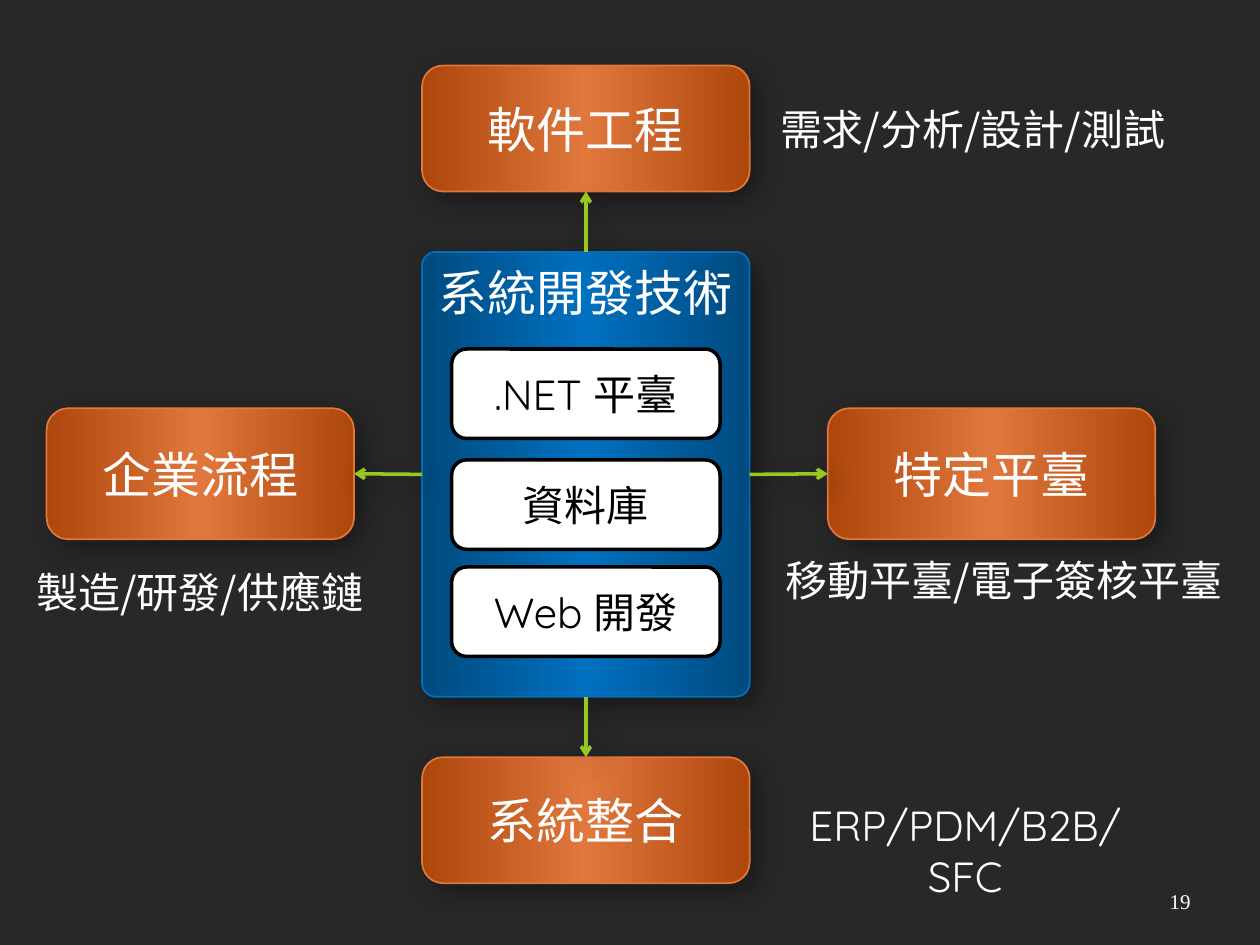
from lxml import etree
from pptx import Presentation
from pptx.dml.color import RGBColor
from pptx.enum.shapes import MSO_CONNECTOR, MSO_SHAPE
from pptx.enum.text import MSO_ANCHOR, PP_ALIGN
from pptx.oxml.ns import qn
from pptx.util import Inches, Pt

ROUNDED = MSO_SHAPE.ROUNDED_RECTANGLE
STRAIGHT = MSO_CONNECTOR.STRAIGHT
TOP, MIDDLE = MSO_ANCHOR.TOP, MSO_ANCHOR.MIDDLE
LEFT, CENTER, RIGHT = PP_ALIGN.LEFT, PP_ALIGN.CENTER, PP_ALIGN.RIGHT

BACKGROUND = RGBColor(0x28, 0x28, 0x28)
WHITE = RGBColor(0xFF, 0xFF, 0xFF)
BLACK = RGBColor(0x00, 0x00, 0x00)
BLUE = RGBColor(0x00, 0x70, 0xC0)
DARK_BLUE = RGBColor(0x00, 0x4A, 0x7E)
ORANGE = RGBColor(0xE0, 0x77, 0x3C)
DARK_ORANGE = RGBColor(0xAE, 0x47, 0x0C)
GREEN = RGBColor(0x98, 0xC7, 0x23)

CJK = "Noto Sans CJK SC"
LATIN = "Quicksand"
SERIF = "Times New Roman"

HUB_BOX = (3.35, 2, 2.6, 3.53)
PILL_TOPS = {".NET 平臺": 2.77, "資料庫": 3.65, "Web 開發": 4.5}
NODES = [
    ("企業流程", (0.37, 3.24, 2.44, 1.04), 1, 3),
    ("系統整合", (3.35, 6.01, 2.6, 1), 2, 0),
    ("軟件工程", (3.35, 0.52, 2.6, 1), 0, 2),
    ("特定平臺", (6.57, 3.24, 2.6, 1.04), 3, 1),
]
LABELS = [
    ("移動平臺/電子簽核平臺", (6.1, 4.35, 3.74, 0.5), CJK),
    ("需求/分析/設計/測試", (6.02, 0.77, 3.4, 0.5), CJK),
    ("ERP/PDM/B2B/SFC", (6.06, 6.3, 3.2, 0.5), LATIN),
    ("製造/研發/供應鏈", (0.14, 4.45, 2.89, 0.5), CJK),
]


def inches(box):
    """Convert a box of numbers to lengths."""
    return [Inches(value) for value in box]


def write(sp, text, size, font, color, align=CENTER, anchor=MIDDLE):
    """Put one formatted run into a shape."""
    tf = sp.text_frame
    tf.word_wrap = True
    tf.vertical_anchor = anchor
    p = tf.paragraphs[0]
    p.alignment = align
    r = p.add_run()
    r.text = text
    r.font.size = Pt(size)
    r.font.name = font
    r.font.color.rgb = color
    etree.SubElement(r.font._element, qn("a:ea"), typeface=CJK)


def add_shadow(spPr):
    """Give shape properties a soft diagonal shadow."""
    effects = spPr.find(qn("a:effectLst"))
    if effects is None:
        effects = etree.SubElement(spPr, qn("a:effectLst"))
    shadow = etree.SubElement(
        effects, qn("a:outerShdw"), blurRad=str(Pt(15)), dist=str(Pt(6.2)),
        dir="2700000", algn="tl", rotWithShape="0")
    color = etree.SubElement(shadow, qn("a:srgbClr"), val=str(BLACK))
    etree.SubElement(color, qn("a:alpha"), val="36000")


def add_box(shapes, box, line_color, line_width):
    """Add an outlined rounded rectangle."""
    sp = shapes.add_shape(ROUNDED, *inches(box))
    sp.shadow.inherit = False
    sp.line.color.rgb = line_color
    sp.line.width = Pt(line_width)
    return sp


def add_gradient_box(shapes, box, edge, middle):
    """Add a shadowed box that is lighter along its middle."""
    sp = add_box(shapes, box, middle, 1)
    sp.fill.gradient()
    sp.fill.gradient_angle = 0
    stops = sp._element.spPr.find(qn("a:gradFill")).find(qn("a:gsLst"))
    for stop in list(stops):
        stops.remove(stop)
    for pos, color in ((0, edge), (50000, middle), (100000, edge)):
        stop = etree.SubElement(stops, qn("a:gs"), pos=str(pos))
        etree.SubElement(stop, qn("a:srgbClr"), val=str(color))
    add_shadow(sp._element.spPr)
    return sp


def add_hub(slide, box):
    """Add the central panel with its stacked technologies."""
    shapes = slide.shapes.add_group_shape().shapes
    hub = add_gradient_box(shapes, box, DARK_BLUE, BLUE)
    hub.adjustments[0] = 0.042
    write(hub, "系統開發技術", 28, LATIN, WHITE, LEFT, TOP)
    left, _, width, _ = box
    pill_width = 2.13
    pill_left = left + (width - pill_width) / 2
    for text, top in PILL_TOPS.items():
        pill = add_box(shapes, (pill_left, top, pill_width, 0.71), BLACK, 2)
        pill.fill.solid()
        pill.fill.fore_color.rgb = WHITE
        write(pill, text, 24, LATIN, BLACK)
    return hub


def add_node(slide, text, box):
    """Add one outer topic box."""
    sp = add_gradient_box(slide.shapes, box, DARK_ORANGE, ORANGE)
    write(sp, text, 28, CJK, WHITE)
    return sp


def add_arrow(slide, hub, node, hub_side, node_side):
    """Join the hub to a node with an arrow."""
    line = slide.shapes.add_connector(STRAIGHT, 0, 0, 0, 0)
    line.begin_connect(hub, hub_side)
    line.end_connect(node, node_side)
    line.line.color.rgb = GREEN
    line.line.width = Pt(2)
    etree.SubElement(line.line._get_or_add_ln(), qn("a:tailEnd"), type="arrow")
    add_shadow(line._element.spPr)


def add_label(slide, text, box, font):
    """Add the description of a topic."""
    sp = slide.shapes.add_textbox(*inches(box))
    write(sp, text, 24, font, WHITE, anchor=TOP)


def add_page_number(slide, box):
    """Add the page number."""
    sp = slide.shapes.add_textbox(*inches(box))
    tf = sp.text_frame
    tf.margin_left = tf.margin_right = Inches(0.05)
    write(sp, "19", 12, SERIF, WHITE, RIGHT)


def main():
    """Build and save the slide."""
    prs = Presentation()
    prs.slide_width, prs.slide_height = Inches(10), Inches(7.5)
    slide = prs.slides.add_slide(prs.slide_layouts[6])
    slide.background.fill.solid()
    slide.background.fill.fore_color.rgb = BACKGROUND
    add_page_number(slide, (7.17, 6.95, 2.33, 0.4))
    hub = add_hub(slide, HUB_BOX)
    for text, box, hub_side, node_side in NODES:
        node = add_node(slide, text, box)
        add_arrow(slide, hub, node, hub_side, node_side)
    for text, box, font in LABELS:
        add_label(slide, text, box, font)
    prs.save("out.pptx")


if __name__ == "__main__":
    main()
